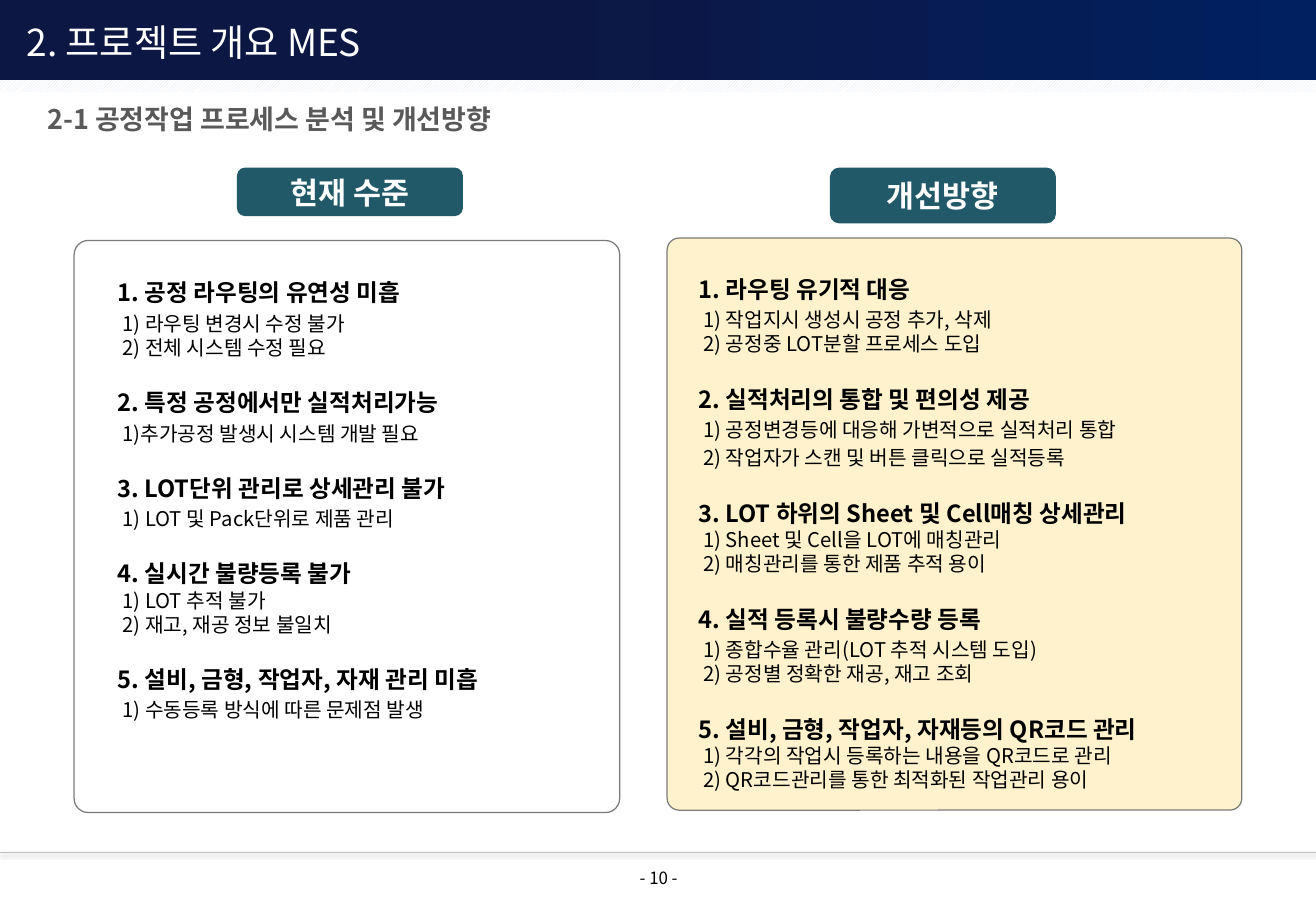
from dataclasses import dataclass
from typing import Optional

from lxml import etree
from pptx import Presentation
from pptx.dml.color import RGBColor
from pptx.enum.dml import MSO_PATTERN
from pptx.enum.shapes import MSO_CONNECTOR, MSO_SHAPE
from pptx.enum.text import MSO_ANCHOR, PP_ALIGN
from pptx.oxml.ns import qn
from pptx.util import Inches, Pt

RECTANGLE = MSO_SHAPE.RECTANGLE
ROUNDED = MSO_SHAPE.ROUNDED_RECTANGLE
STRAIGHT = MSO_CONNECTOR.STRAIGHT
UPWARD_STRIPES = MSO_PATTERN.DARK_UPWARD_DIAGONAL
TOP, MIDDLE = MSO_ANCHOR.TOP, MSO_ANCHOR.MIDDLE
LEFT, CENTER = PP_ALIGN.LEFT, PP_ALIGN.CENTER

FONT = "Noto Sans CJK KR"
COLORS = {
    "white": "FFFFFF", "black": "000000", "subtitle": "595959",
    "navy": "002060", "dark_navy": "0D1743", "stripe": "DCE6F2",
    "label": "215968", "cream": "FFF2CC", "border": "7B7B7B", "rule": "BFBFBF",
}
SLIDE_WIDTH, SLIDE_HEIGHT = 10.83, 7.5
LINE_RATIO = 1.207
HEADING_SIZE, ITEM_SIZE = 14, 12
ITEM_INDENT = 0.04


@dataclass(frozen=True)
class Box:
    left: float
    top: float
    width: float
    height: float

    def lengths(self) -> list:
        return [Inches(n) for n in (self.left, self.top, self.width, self.height)]


@dataclass(frozen=True)
class Item:
    text: str
    line_size: int = ITEM_SIZE


@dataclass(frozen=True)
class Section:
    heading: str
    items: list[Item]


@dataclass(frozen=True)
class Panel:
    label: str
    label_box: Box
    frame: Box
    corner: float
    fill: Optional[str]
    text_box: Box
    sections: list[Section]


def tall(text: str) -> Item:
    """An item whose line is as high as a heading line."""
    return Item(text, HEADING_SIZE)


PANELS = [
    Panel("현재 수준", Box(1.95, 1.38, 1.86, 0.4), Box(0.61, 1.98, 4.49, 4.71), 0.026,
          None, Box(0.87, 2.24, 3.77, 4.01), [
        Section("1. 공정 라우팅의 유연성 미흡",
                [tall("1) 라우팅 변경시 수정 불가"), Item("2) 전체 시스템 수정 필요")]),
        Section("2. 특정 공정에서만 실적처리가능",
                [tall("1)추가공정 발생시 시스템 개발 필요")]),
        Section("3. LOT단위 관리로 상세관리 불가",
                [tall("1) LOT 및 Pack단위로 제품 관리")]),
        Section("4. 실시간 불량등록 불가",
                [Item("1) LOT 추적 불가"), Item("2) 재고, 재공 정보 불일치")]),
        Section("5. 설비, 금형, 작업자, 자재 관리 미흡",
                [tall("1) 수동등록 방식에 따른 문제점 발생")]),
    ]),
    Panel("개선방향", Box(6.83, 1.38, 1.86, 0.46), Box(5.49, 1.96, 4.73, 4.71), 0.021,
          "cream", Box(5.65, 2.21, 4.26, 4.38), [
        Section("1. 라우팅 유기적 대응",
                [tall("1) 작업지시 생성시 공정 추가, 삭제"),
                 Item("2) 공정중 LOT분할 프로세스 도입")]),
        Section("2. 실적처리의 통합 및 편의성 제공",
                [tall("1) 공정변경등에 대응해 가변적으로 실적처리 통합"),
                 tall("2) 작업자가 스캔 및 버튼 클릭으로 실적등록")]),
        Section("3. LOT 하위의 Sheet 및 Cell매칭 상세관리",
                [Item("1) Sheet 및 Cell을 LOT에 매칭관리"),
                 Item("2) 매칭관리를 통한 제품 추적 용이")]),
        Section("4. 실적 등록시 불량수량 등록",
                [tall("1) 종합수율 관리(LOT 추적 시스템 도입)"),
                 Item("2) 공정별 정확한 재공, 재고 조회")]),
        Section("5. 설비, 금형, 작업자, 자재등의 QR코드 관리",
                [Item("1) 각각의 작업시 등록하는 내용을 QR코드로 관리"),
                 Item("2) QR코드관리를 통한 최적화된 작업관리 용이")]),
    ]),
]


def color(name: str) -> RGBColor:
    return RGBColor.from_string(COLORS[name])


def line_height(size: float) -> Pt:
    return Pt(round(size * LINE_RATIO, 1))


def add_run(paragraph, text: str, size: float, color_name: str, bold: bool = False) -> None:
    run = paragraph.add_run()
    run.text = text
    run.font.name = FONT
    run.font.size = Pt(size)
    run.font.bold = bold
    run.font.color.rgb = color(color_name)
    east_asian = etree.SubElement(run.font._element, qn("a:ea"))
    east_asian.set("typeface", FONT)


def add_shape(slide, kind, box: Box, fill: Optional[str] = None, border: Optional[str] = None):
    shape = slide.shapes.add_shape(kind, *box.lengths())
    shape.shadow.inherit = False
    if fill:
        shape.fill.solid()
        shape.fill.fore_color.rgb = color(fill)
    else:
        shape.fill.background()
    if border:
        shape.line.color.rgb = color(border)
        shape.line.width = Pt(0.75)
    else:
        shape.line.fill.background()
    return shape


def add_text_frame(slide, box: Box, margins: Optional[tuple[float, float]] = None, anchor=TOP):
    """Margins are (horizontal, vertical) inches."""
    frame = slide.shapes.add_textbox(*box.lengths()).text_frame
    frame.word_wrap = True
    frame.vertical_anchor = anchor
    if margins:
        frame.margin_left = frame.margin_right = Inches(margins[0])
        frame.margin_top = frame.margin_bottom = Inches(margins[1])
    return frame


def add_top_line(slide, box: Box, text: str, size: float, color_name: str,
                 bold: bool = False, alignment=LEFT) -> None:
    paragraph = add_text_frame(slide, box, (0, 0)).paragraphs[0]
    paragraph.alignment = alignment
    paragraph.line_spacing = line_height(size)
    add_run(paragraph, text, size, color_name, bold)


def add_header(slide) -> None:
    band = add_shape(slide, RECTANGLE, Box(0, 0, SLIDE_WIDTH, 0.67))
    band.fill.gradient()
    band.fill.gradient_angle = 180
    for stop, name, position in zip(band.fill.gradient_stops, ("navy", "dark_navy"), (0, 0.59)):
        stop.color.rgb = color(name)
        stop.position = position
    stripes = add_shape(slide, RECTANGLE, Box(0, 0.66, SLIDE_WIDTH, 0.1))
    stripes.fill.patterned()
    stripes.fill.pattern = UPWARD_STRIPES
    stripes.fill.fore_color.rgb = color("stripe")
    stripes.fill.back_color.rgb = color("white")
    title = add_text_frame(slide, Box(0.22, 0.14, 6.69, 0.4), (0, 0.05), MIDDLE)
    add_run(title.paragraphs[0], "2. 프로젝트 개요 MES", 22, "white")


def add_footer(slide) -> None:
    rule = slide.shapes.add_connector(
        STRAIGHT, Inches(0), Inches(7.02), Inches(SLIDE_WIDTH), Inches(7.02))
    rule.line.color.rgb = color("rule")
    rule.line.width = Pt(0.25)
    effects = etree.SubElement(rule._element.spPr, qn("a:effectLst"))
    shadow = etree.SubElement(effects, qn("a:outerShdw"), blurRad=str(Pt(3)),
                              dist=str(Pt(1)), dir="5400000", rotWithShape="0")
    tint = etree.SubElement(shadow, qn("a:srgbClr"), val=COLORS["black"])
    etree.SubElement(tint, qn("a:alpha"), val="20000")
    add_top_line(slide, Box(4.73, 7.14, 1.38, 0.2), "- 10 -", 10, "black", alignment=CENTER)


def add_panel(slide, panel: Panel) -> None:
    label = add_shape(slide, ROUNDED, panel.label_box, panel.label and "label").text_frame
    label.vertical_anchor = MIDDLE
    label.paragraphs[0].alignment = CENTER
    add_run(label.paragraphs[0], panel.label, 18, "white", True)
    frame = add_shape(slide, ROUNDED, panel.frame, panel.fill, "border")
    frame.adjustments[0] = panel.corner
    text_frame = add_text_frame(slide, panel.text_box)
    for number, section in enumerate(panel.sections):
        heading = text_frame.add_paragraph() if number else text_frame.paragraphs[0]
        heading.line_spacing = line_height(HEADING_SIZE)
        if number:
            heading.space_before = line_height(HEADING_SIZE)
        add_run(heading, section.heading, HEADING_SIZE, "black", True)
        for item in section.items:
            paragraph = text_frame.add_paragraph()
            paragraph._p.get_or_add_pPr().set("marL", str(Inches(ITEM_INDENT)))
            paragraph.line_spacing = line_height(item.line_size)
            add_run(paragraph, item.text, ITEM_SIZE, "black")


def main() -> None:
    presentation = Presentation()
    presentation.slide_width = Inches(SLIDE_WIDTH)
    presentation.slide_height = Inches(SLIDE_HEIGHT)
    slide = presentation.slides.add_slide(presentation.slide_layouts[6])
    add_footer(slide)
    add_header(slide)
    add_top_line(slide, Box(0.39, 0.84, 10.24, 0.27),
                 "2-1 공정작업 프로세스 분석 및 개선방향", 16, "subtitle", True)
    for panel in PANELS:
        add_panel(slide, panel)
    presentation.save("out.pptx")


if __name__ == "__main__":
    main()
